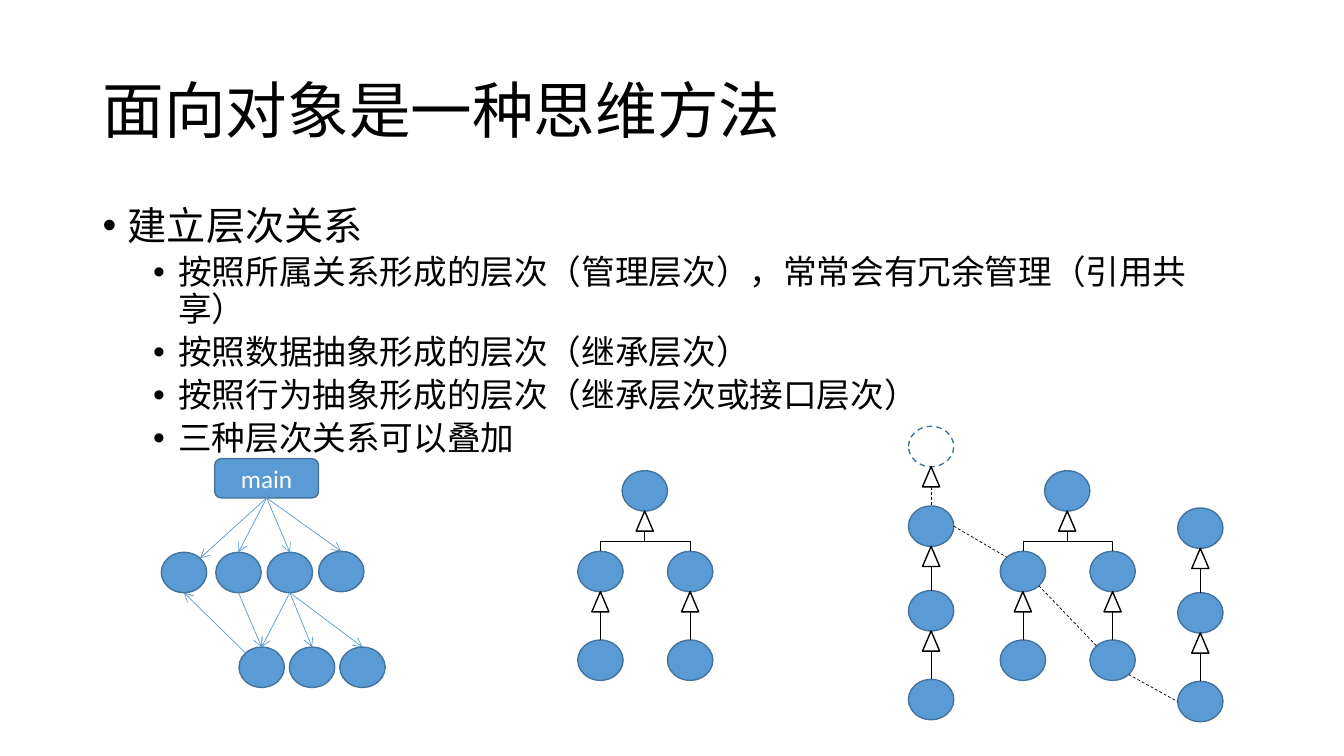
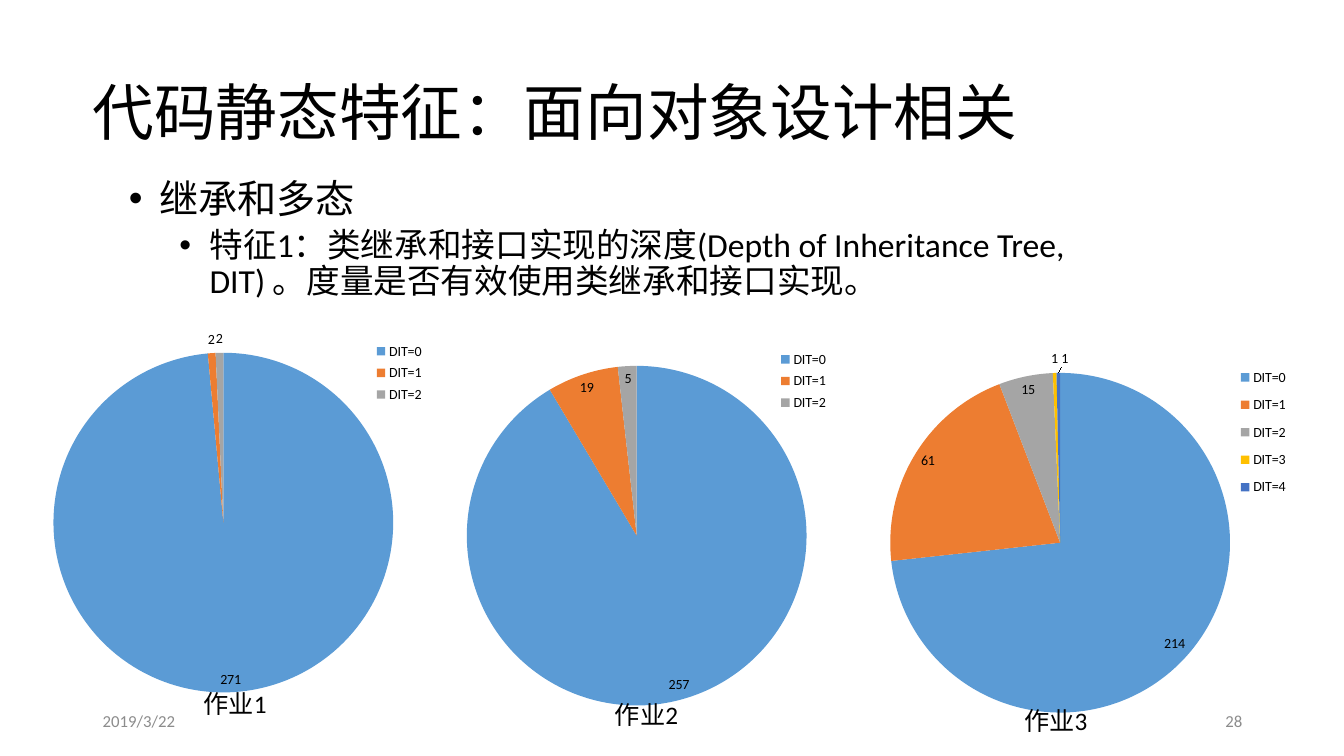
from lxml import etree
from pptx import Presentation
from pptx.chart.data import CategoryChartData
from pptx.dml.color import RGBColor
from pptx.enum.chart import XL_CHART_TYPE as CHART, XL_LABEL_POSITION as LABEL, XL_LEGEND_POSITION as LEGEND
from pptx.enum.dml import MSO_LINE as DASH
from pptx.enum.shapes import MSO_CONNECTOR as LINK, MSO_SHAPE as SHAPE
from pptx.enum.text import MSO_ANCHOR as ANCHOR, MSO_AUTO_SIZE as FIT, PP_ALIGN as ALIGN
from pptx.oxml import parse_xml
from pptx.oxml.ns import nsdecls, qn
from pptx.util import Emu, Pt

PX = 9144
FONT = "Calibri"
BLACK, WHITE, GREY = "000000", "FFFFFF", "8C8C8C"
BLUE, OUTLINE = "5B9BD5", "43739E"
SLICES = [BLUE, "ED7D31", "A5A5A5", "FFC000", "4472C4"]
LEVELS = [dict(size=28, before=10), dict(size=24, before=5)]

HIERARCHY_TITLE = "面向对象是一种思维方法"
HIERARCHY_POINTS = [
    (0, "建立层次关系"),
    (1, "按照所属关系形成的层次（管理层次），常常会有冗余管理（引用共享）"),
    (1, "按照数据抽象形成的层次（继承层次）"),
    (1, "按照行为抽象形成的层次（继承层次或接口层次）"),
    (1, "三种层次关系可以叠加"),
]
NODE_W, NODE_H = 45, 40
HEAD_W, HEAD_H = 17, 20
MAIN_BOX = (213, 455, 103, 39)
OWNED = {"a1": (160, 548), "a2": (214, 548), "a3": (265, 548), "a4": (316, 547),
         "b1": (237, 642), "b2": (287, 642), "b3": (337, 642)}
MAIN_CALLS = [("a1", "NE"), ("a2", "N"), ("a3", "N"), ("a4", "N")]
REFERENCES = [("a3", "S", "b1", "N"), ("a2", "S", "b1", "N"), ("a3", "S", "b2", "N"),
              ("a3", "S", "b3", "N"), ("b1", "NW", "a1", "S")]
TREES = {"data": 573, "mixed": 992}
TREE_PARTS = {"root": (44, 467), "left": (0, 547), "right": (89, 547),
              "left leaf": (0, 635), "right leaf": (89, 635)}
TREE_LINKS = [("root", ["left", "right"]), ("left", ["left leaf"]), ("right", ["right leaf"])]
CHAINS = {"behaviour": (901, [502, 586, 674]), "side": (1168, [504, 588, 676])}
INTERFACE = (901, 423)
OVERLAYS = [("behaviour 0", "E", "mixed left", "NW"),
            ("mixed left", "SE", "mixed right leaf", "NW"),
            ("mixed right leaf", "SE", "side 2", "W")]
DIAGONAL = 0.71
DIRECTIONS = {"N": (0, -1), "S": (0, 1), "W": (-1, 0), "E": (1, 0),
              "NW": (-DIAGONAL, -DIAGONAL), "NE": (DIAGONAL, -DIAGONAL),
              "SE": (DIAGONAL, DIAGONAL)}

METRICS_TITLE = "代码静态特征：面向对象设计相关"
METRICS_POINTS = [
    (0, "继承和多态"),
    (1, "特征1：类继承和接口实现的深度(Depth of Inheritance Tree, DIT) 。度量是否有效使用类继承和接口实现。"),
]
PIE_SIZE = 337
HOMEWORKS = [
    dict(caption="作业1", caption_at=(192, 678), values=[271, 2, 2], frame=(20, 316, 465, 386),
         pie=(53, 350), legend=(366, 335, 60, 70)),
    dict(caption="作业2", caption_at=(600, 689), values=[257, 19, 5], frame=(409, 328, 508, 386),
         pie=(463, 363), legend=(767, 343, 60, 70)),
    dict(caption="作业3", caption_at=(1006, 695), values=[214, 61, 15, 1, 1], frame=(832, 335, 502, 386),
         pie=(883, 370), legend=(1223, 355, 60, 148)),
]
FOOTERS = [("2019/3/22", 92, ALIGN.LEFT), ("28", 942, ALIGN.RIGHT)]


def px(*lengths):
    return [Emu(round(length * PX)) for length in lengths]


def rgb(value):
    return RGBColor.from_string(value)


def write(frame, lines, size=18, color=BLACK, align=None, anchor=ANCHOR.TOP, insets=(10, 5, 10, 5),
          spacing=None, indent=None, fit=FIT.NONE):
    frame.word_wrap, frame.auto_size, frame.vertical_anchor = True, fit, anchor
    frame.margin_left, frame.margin_top, frame.margin_right, frame.margin_bottom = px(*insets)
    for index, (level, line) in enumerate(lines):
        paragraph = frame.add_paragraph() if index else frame.paragraphs[0]
        run = paragraph.add_run()
        run.text = line
        run.font.name, run.font.size, run.font.color.rgb = FONT, Pt(size), rgb(color)
        paragraph.alignment, paragraph.line_spacing = align, spacing
        if indent:
            paragraph.level = level
            paragraph.space_before = Pt(LEVELS[level]["before"])
            run.font.size = Pt(LEVELS[level]["size"])
            properties = paragraph._p.get_or_add_pPr()
            properties.set("marL", str(px(indent + 50 * level)[0]))
            properties.set("indent", str(px(-indent)[0]))
            etree.SubElement(properties, qn("a:buFont"), typeface="Arial")
            etree.SubElement(properties, qn("a:buChar"), char="•")


def add_text(slide, box, text, **style):
    lines = [(0, text)] if isinstance(text, str) else text
    write(slide.shapes.add_textbox(*px(*box)).text_frame, lines, **style)


def add_title(slide, box, text, **style):
    add_text(slide, box, text, size=44, spacing=0.9, **style)


def add_outline(slide, kind, box, fill=None, line=OUTLINE, dash=None):
    shape = slide.shapes.add_shape(kind, *px(*box))
    shape.shadow.inherit = False
    if fill:
        shape.fill.solid()
        shape.fill.fore_color.rgb = rgb(fill)
    else:
        shape.fill.background()
    shape.line.color.rgb, shape.line.width, shape.line.dash_style = rgb(line), Pt(1), dash
    return shape


def add_link(slide, start, end, color=BLACK, kind=LINK.STRAIGHT, dash=None, arrow=False):
    link = slide.shapes.add_connector(kind, *px(*start, *end))
    link.line.color.rgb, link.line.width, link.line.dash_style = rgb(color), Pt(0.5), dash
    if arrow:
        etree.SubElement(link.line._get_or_add_ln(), qn("a:tailEnd"), type="arrow")
    etree.SubElement(link._element.spPr, qn("a:effectLst"))
    return link


def add_fork(slide, start, end):
    """Draw an elbow that leaves downward: a sideways elbow turned by 90 degrees."""
    across, down = end[0] - start[0], end[1] - start[1]
    x, y = (start[0] + end[0]) / 2, (start[1] + end[1]) / 2
    link = add_link(slide, (x - down / 2, y + across / 2), (x + down / 2, y - across / 2), kind=LINK.ELBOW)
    link._element.spPr.xfrm.set("rot", "5400000")


def add_node(slide, place, **style):
    add_outline(slide, SHAPE.OVAL, (*place, NODE_W, NODE_H), **style)


def edge(place, direction):
    x, y = DIRECTIONS[direction]
    return place[0] + NODE_W / 2 * (1 + x), place[1] + NODE_H / 2 * (1 + y)


def add_inheritance(slide, parent, children, dash=None):
    x, y = edge(parent, "S")
    add_outline(slide, SHAPE.ISOSCELES_TRIANGLE, (x - HEAD_W / 2, y, HEAD_W, HEAD_H), line=BLACK)
    for child in children:
        if len(children) > 1:
            add_fork(slide, (x, y + HEAD_H), edge(child, "N"))
        else:
            add_link(slide, (x, y + HEAD_H), edge(child, "N"), dash=dash)


def add_ownership(slide):
    main = add_outline(slide, SHAPE.ROUNDED_RECTANGLE, MAIN_BOX, fill=BLUE)
    write(main.text_frame, [(0, "main")], color=WHITE, align=ALIGN.CENTER, anchor=ANCHOR.MIDDLE)
    for place in OWNED.values():
        add_node(slide, place, fill=BLUE)
    left, top, width, height = MAIN_BOX
    for callee, side in MAIN_CALLS:
        call = add_link(slide, (left + width / 2, top + height), edge(OWNED[callee], side), BLUE, arrow=True)
        call.begin_connect(main, 2)
    for owner, out, owned, into in REFERENCES:
        add_link(slide, edge(OWNED[owner], out), edge(OWNED[owned], into), BLUE, arrow=True)


def add_abstractions(slide):
    nodes, links = {}, []
    for tree, left in TREES.items():
        nodes.update({f"{tree} {part}": (left + x, y) for part, (x, y) in TREE_PARTS.items()})
        links += [(f"{tree} {parent}", [f"{tree} {child}" for child in children])
                  for parent, children in TREE_LINKS]
    for chain, (left, tops) in CHAINS.items():
        nodes.update({f"{chain} {step}": (left, top) for step, top in enumerate(tops)})
        links += [(f"{chain} {step - 1}", [f"{chain} {step}"]) for step in range(1, len(tops))]
    for place in nodes.values():
        add_node(slide, place, fill=BLUE)
    for parent, children in links:
        add_inheritance(slide, nodes[parent], [nodes[child] for child in children])
    add_node(slide, INTERFACE, dash=DASH.DASH)
    add_inheritance(slide, INTERFACE, [nodes["behaviour 0"]], dash=DASH.DASH)
    for source, out, target, into in OVERLAYS:
        add_link(slide, edge(nodes[source], out), edge(nodes[target], into), dash=DASH.DASH)


def chart_layout(frame, box, target=""):
    left, top, width, height = frame
    x, y, w, h = box
    sizes = dict(x=(x - left) / width, y=(y - top) / height, w=w / width, h=h / height)
    modes = '<c:xMode val="edge"/><c:yMode val="edge"/>'
    values = "".join(f'<c:{key} val="{value:.4f}"/>' for key, value in sizes.items())
    return parse_xml(f'<c:layout {nsdecls("c")}><c:manualLayout>{target}{modes}{values}'
                     '</c:manualLayout></c:layout>')


def add_pie(slide, values, frame, pie, legend):
    data = CategoryChartData()
    data.categories = [f"DIT={depth}" for depth in range(len(values))]
    data.add_series("Series 1", values)
    chart = slide.shapes.add_chart(CHART.PIE, *px(*frame), data).chart
    chart.has_title = False
    chart.font.name, chart.font.size, chart.font.color.rgb = FONT, Pt(10), rgb(BLACK)
    chart.has_legend = True
    chart.legend.position, chart.legend.include_in_layout = LEGEND.RIGHT, False
    plot = chart.plots[0]
    plot.vary_by_categories = True
    plot.has_data_labels = True
    plot.data_labels.show_value, plot.data_labels.show_percentage = True, False
    plot.data_labels.position = LABEL.BEST_FIT
    for index in range(len(values)):
        fill = plot.series[0].points[index].format.fill
        fill.solid()
        fill.fore_color.rgb = rgb(SLICES[index])
    area = chart._chartSpace.chart.plotArea
    for old in area.findall(qn("c:layout")):
        area.remove(old)
    area.insert(0, chart_layout(frame, (*pie, PIE_SIZE, PIE_SIZE), '<c:layoutTarget val="inner"/>'))
    key = chart.legend._element
    for old in key.findall(qn("c:layout")):
        key.remove(old)
    key.find(qn("c:legendPos")).addnext(chart_layout(frame, legend))


def build_hierarchy(slide):
    add_title(slide, (92, 40, 1150, 145), HIERARCHY_TITLE, anchor=ANCHOR.MIDDLE)
    add_text(slide, (92, 200, 1150, 242), HIERARCHY_POINTS, spacing=0.9, indent=25)
    add_ownership(slide)
    add_abstractions(slide)


def build_metrics(slide):
    add_title(slide, (92, 69, 1150, 79), METRICS_TITLE, anchor=ANCHOR.BOTTOM, insets=(0, 5, 0, 0))
    add_text(slide, (118, 173, 1049, 635), METRICS_POINTS, spacing=0.9, indent=30)
    for text, left, align in FOOTERS:
        add_text(slide, (left, 695, 300, 40), text, size=12, color=GREY, align=align, anchor=ANCHOR.MIDDLE)
    for work in HOMEWORKS:
        add_pie(slide, work["values"], work["frame"], work["pie"], work["legend"])
        add_text(slide, (*work["caption_at"], 108, 40), work["caption"], fit=FIT.SHAPE_TO_FIT_TEXT)


def main():
    deck = Presentation()
    deck.slide_width, deck.slide_height = px(1333, 750)
    for build in (build_hierarchy, build_metrics):
        build(deck.slides.add_slide(deck.slide_layouts[6]))
    deck.save("out.pptx")


if __name__ == "__main__":
    main()
